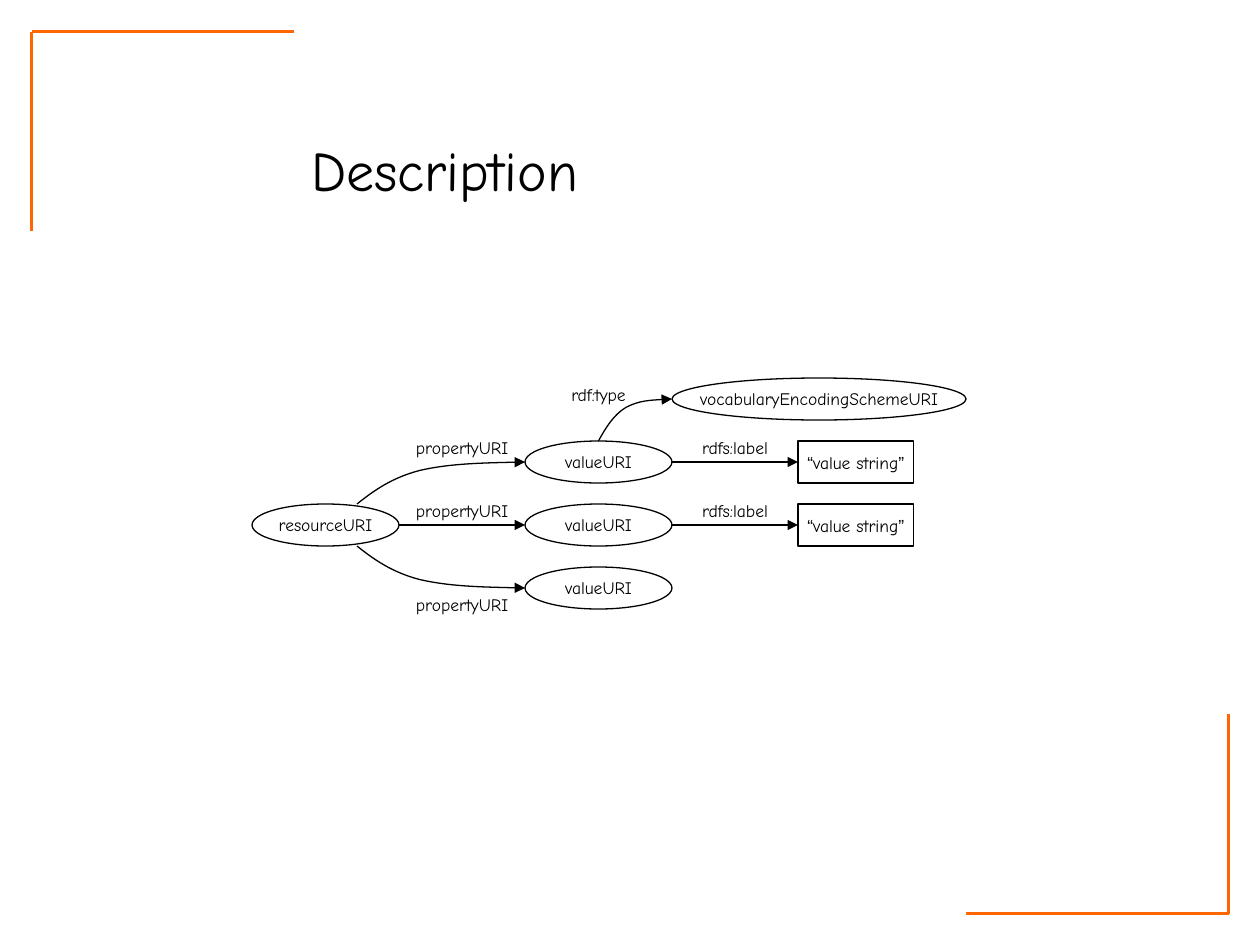
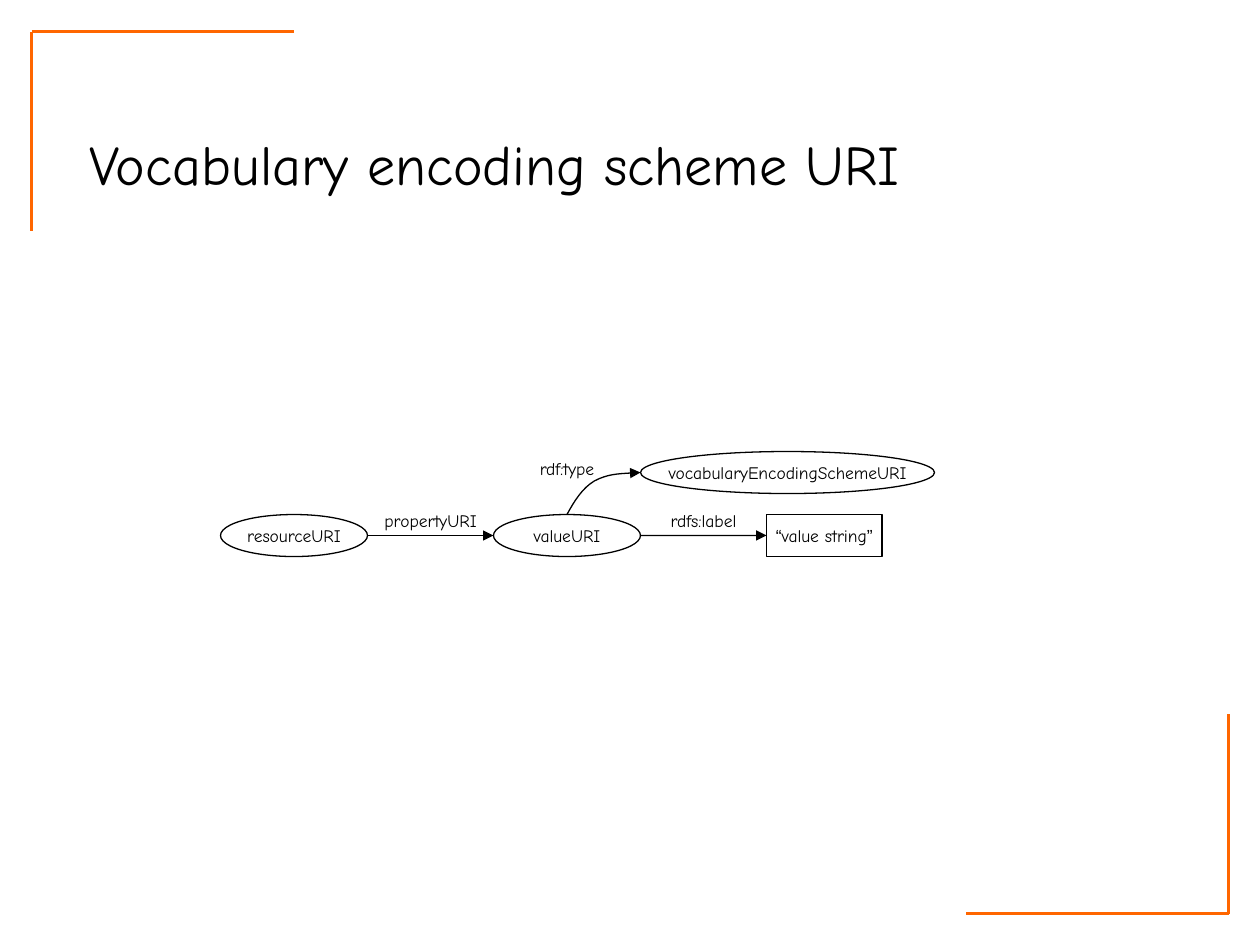
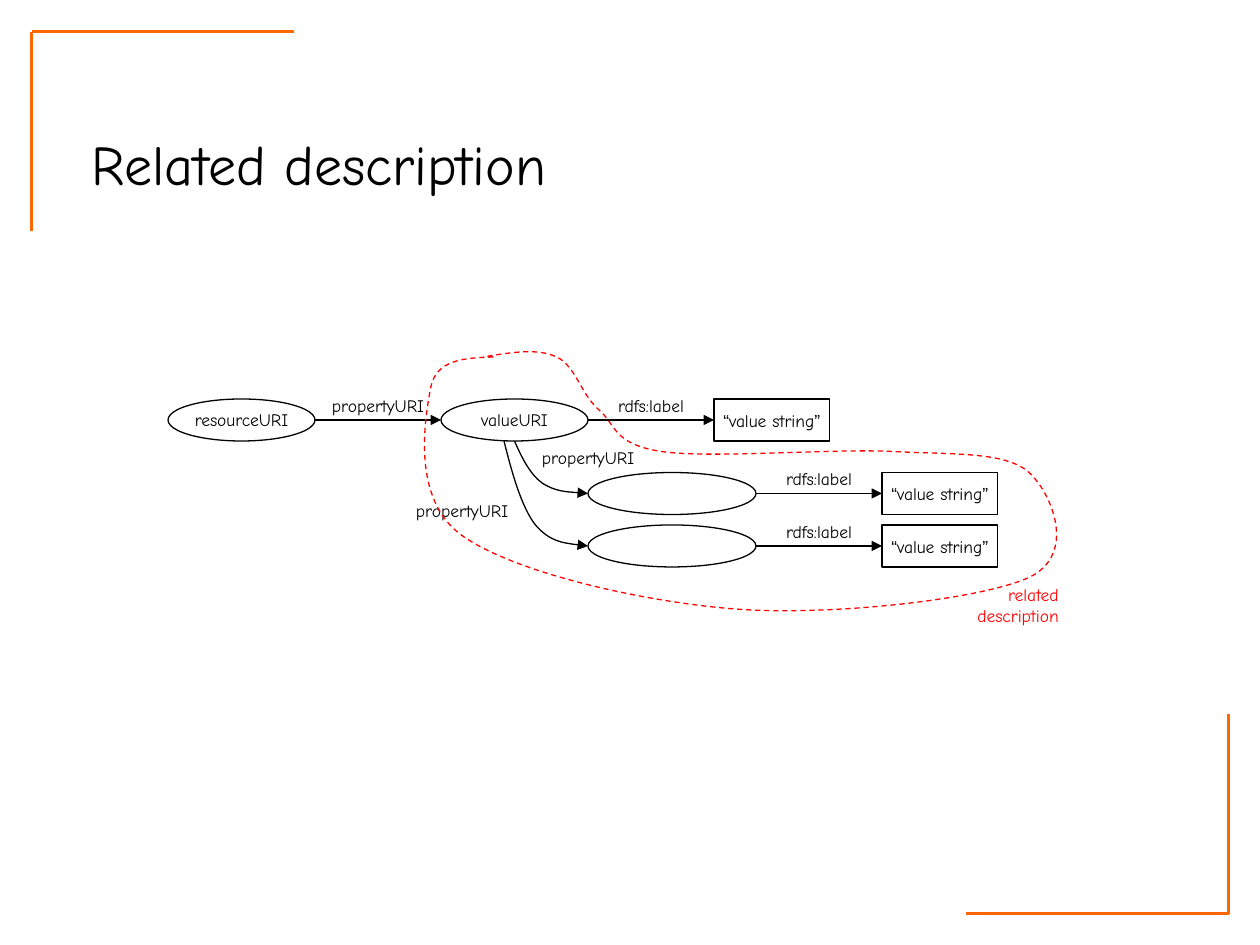
from itertools import groupby

from lxml.etree import SubElement
from pptx import Presentation
from pptx.dml.color import RGBColor
from pptx.enum.dml import MSO_LINE_DASH_STYLE as Dash
from pptx.enum.shapes import MSO_CONNECTOR as Connector, MSO_SHAPE as Shape
from pptx.enum.text import MSO_ANCHOR as Anchor, MSO_AUTO_SIZE as AutoSize, PP_ALIGN as Align
from pptx.oxml.ns import qn
from pptx.util import Inches, Pt

COLORS = {"ink": "000000", "paper": "FFFFFF", "corner": "FF6600", "related": "FF0000"}
BODY_FONT, QUOTE_FONT = "Comic Neue", "Arial"
QUOTES = "“”"
NODE_W, NODE_H, STRING_W, LINK_W = 14, 4, 11, 12
BEND = [(0.1, 0.32), (0.21, 0.63), (0.375, 0.8), (0.55, 0.96), (0.77, 0.98), (1, 1)]
RELATED_OUTLINE = [
    (31, -4), (28.25, -3.9), (25.5, -3.8), (25, -1), (24.5, 1.8), (23.1, 9.5), (28, 13),
    (32.9, 16.5), (45, 19.3), (54, 20), (63, 20.7), (77.4, 19.1), (82, 17),
    (86.6, 14.8), (84.2, 9), (82, 7), (79.8, 5), (74.8, 5.3), (69, 5),
    (63.2, 4.7), (51.7, 5.7), (47, 5), (42.3, 4.3), (42.7, 2.4), (41, 1),
    (39.3, -0.5), (38.8, -3.2), (37, -4), (35.1, -4.9), (32.6, -4.4), (30, -4),
]


def rgb(name):
    """Return a palette colour."""
    return RGBColor.from_string(COLORS[name])


def grid(*units):
    """Convert grid units of a twelfth of an inch to lengths."""
    return [Inches(unit / 12) for unit in units]


def write(frame, text, size=10, color="ink", align=Align.CENTER, wrap=False):
    """Write one formatted paragraph, with quotation marks in their own font."""
    frame.word_wrap = wrap
    paragraph = frame.paragraphs[0]
    paragraph.alignment = align
    for is_quote, letters in groupby(text, key=lambda letter: letter in QUOTES):
        run = paragraph.add_run()
        run.text = "".join(letters)
        run.font.name = QUOTE_FONT if is_quote else BODY_FONT
        run.font.size = Pt(size)
        run.font.color.rgb = rgb(color)


def text_box(slide, box, text, **style):
    """Place text in a box that grows with it."""
    frame = slide.shapes.add_textbox(*box).text_frame
    write(frame, text, **style)
    frame.auto_size = AutoSize.SHAPE_TO_FIT_TEXT


def stroke(line, color="ink", width=0.75, dash=None, arrow=False):
    """Style a line and optionally give it an arrowhead."""
    line.color.rgb = rgb(color)
    line.width = Pt(width)
    if dash:
        line.dash_style = dash
    if arrow:
        SubElement(line._get_or_add_ln(), qn("a:tailEnd"), type="triangle")


def straight(slide, start, end, **style):
    """Draw a straight line without a shadow."""
    line = slide.shapes.add_connector(Connector.STRAIGHT, *start, *end)
    stroke(line.line, **style)
    SubElement(line._element.spPr, qn("a:effectLst"))
    return line


def bezier(slide, points, **style):
    """Draw an unfilled chain of cubic curves through grid points."""
    start, *rest = [grid(*point) for point in points]
    builder = slide.shapes.build_freeform(*start)
    builder.add_line_segments(rest, close=False)
    curve = builder.convert_to_shape()
    curve.shadow.inherit = False
    curve.fill.background()
    stroke(curve.line, **style)
    path = curve._element.find(".//" + qn("a:path"))
    segments = path.findall(qn("a:lnTo"))
    for first in range(0, len(segments), 3):
        cubic = SubElement(path, qn("a:cubicBezTo"))
        for segment in segments[first:first + 3]:
            cubic.append(segment[0])
            path.remove(segment)


def bent_arrow(slide, start, end):
    """Draw an arrow that leaves steeply and arrives level."""
    (x, y), (end_x, end_y) = start, end
    bends = [(x + (end_x - x) * across, y + (end_y - y) * along) for across, along in BEND]
    bezier(slide, [start, *bends], arrow=True)


def node(slide, left, top, text="", width=NODE_W, kind=Shape.OVAL):
    """Draw an outlined node of the graph."""
    shape = slide.shapes.add_shape(kind, *grid(left, top, width, NODE_H))
    shape.shadow.inherit = False
    shape.fill.solid()
    shape.fill.fore_color.rgb = rgb("paper")
    stroke(shape.line)
    if text:
        shape.text_frame.vertical_anchor = Anchor.MIDDLE
        write(shape.text_frame, text)
    return shape


def label(slide, left, top, text):
    """Write the name of a link."""
    text_box(slide, [*grid(left, top, 14), Inches(0.27)], text, wrap=True)


def link(slide, left, top, text):
    """Draw a labelled level arrow beside a node whose top is given."""
    middle = top + NODE_H / 2
    arrow = straight(slide, grid(left, middle), grid(left + LINK_W, middle), arrow=True)
    label(slide, left - 1, top - 1, text)
    return arrow


def value_string(slide, left, top):
    """Draw a link and the literal it leads to."""
    arrow = link(slide, left, top, "rdfs:label")
    literal = node(slide, left + LINK_W, top, "“value string”", STRING_W, Shape.RECTANGLE)
    arrow.end_connect(literal, 1)


def statement(slide, left, top):
    """Draw a resource, its property, a value and the value string."""
    node(slide, left, top, "resourceURI")
    link(slide, left + NODE_W, top, "propertyURI")
    value_left = left + NODE_W + LINK_W
    node(slide, value_left, top, "valueURI")
    value_string(slide, value_left + NODE_W, top)
    return value_left


def scheme_branch(slide, left, top):
    """Draw the encoding scheme above the value node at this place."""
    label(slide, left, top - 6, "rdf:type")
    node(slide, left + NODE_W, top - 6, "vocabularyEncodingSchemeURI", 2 * NODE_W)
    bent_arrow(slide, (left + NODE_W / 2, top), (left + NODE_W, top - 4))


def corners(slide):
    """Draw the two corner brackets, each from its outer point."""
    for x, y, inward in ((0.25, 0.25, 1), (9.75, 7.25, -1)):
        outer = (Inches(x), Inches(y))
        for end in ((x + inward * 2.08, y), (x, y + inward * 1.58)):
            straight(slide, outer, [Inches(length) for length in end], color="corner", width=2)


def titled_slide(deck, title, left, top, width):
    """Add a slide with corner brackets and a title."""
    slide = deck.slides.add_slide(deck.slide_layouts[6])
    corners(slide)
    box = [Inches(length) for length in (left, top, width, 0.64)]
    text_box(slide, box, title, size=32, align=Align.LEFT)
    return slide


def description(slide, left, top):
    """Draw a resource with three values."""
    value_left = statement(slide, left, top)
    upper, lower = top - 6, top + 6
    for value_top, label_top, start_y in (
        (upper, upper - 1, top),
        (lower, lower + 2, top + NODE_H),
    ):
        label(slide, left + NODE_W - 1, label_top, "propertyURI")
        node(slide, value_left, value_top, "valueURI")
        bent_arrow(slide, (left + 10, start_y), (value_left, value_top + NODE_H / 2))
    value_string(slide, value_left + NODE_W, upper)
    scheme_branch(slide, value_left, upper)


def encoding_scheme(slide, left, top):
    """Draw a statement whose value has an encoding scheme."""
    scheme_branch(slide, statement(slide, left, top), top)


def related_description(slide, left, top):
    """Draw a statement whose value is described in turn."""
    value_left = statement(slide, left, top)
    blank_left, blank_width = value_left + NODE_W, 16
    for drop, start_x, label_x, label_y in ((7, 7, 7, 4), (12, 6, -5, 9)):
        blank_top = top + drop
        label(slide, value_left + label_x, top + label_y, "propertyURI")
        node(slide, blank_left, blank_top, width=blank_width)
        bent_arrow(slide, (value_left + start_x, top + NODE_H), (blank_left, blank_top + NODE_H / 2))
        value_string(slide, blank_left + blank_width, blank_top)
    outline = [(left + x, top + y) for x, y in RELATED_OUTLINE]
    bezier(slide, outline, color="related", dash=Dash.DASH)
    caption_box = [*grid(left + 72, top + 17, 14), Inches(0.44)]
    text_box(slide, caption_box, "related description", color="related", align=Align.RIGHT, wrap=True)


def main():
    """Build and save the three slides."""
    deck = Presentation()
    deck.slide_width, deck.slide_height = Inches(10), Inches(7.5)
    description(titled_slide(deck, "Description", 2.37, 1.03, 2.32), 24, 48)
    encoding_scheme(titled_slide(deck, "Vocabulary encoding scheme URI", 0.61, 0.98, 6.67), 21, 49)
    related_description(titled_slide(deck, "Related description", 0.63, 0.98, 3.83), 16, 38)
    deck.save("out.pptx")


if __name__ == "__main__":
    main()
